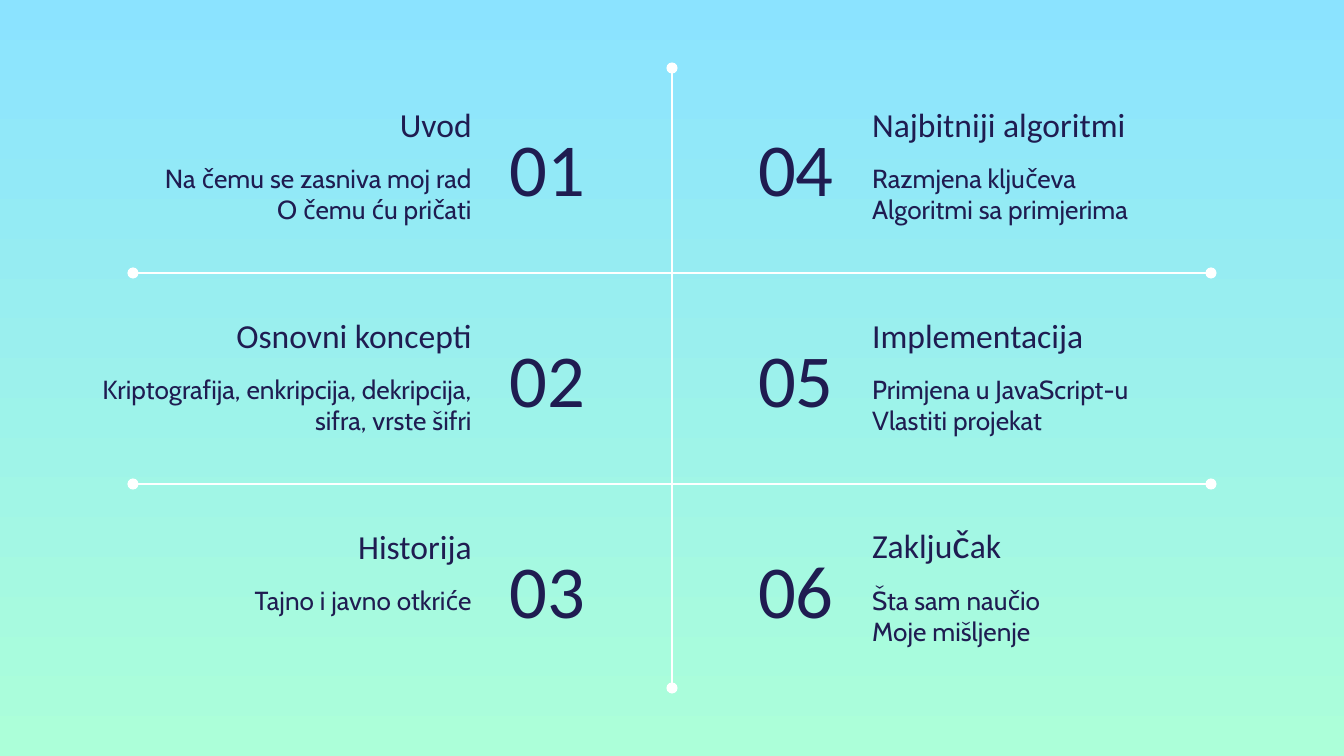
from lxml.etree import SubElement
from pptx import Presentation
from pptx.dml.color import RGBColor
from pptx.enum.shapes import MSO_CONNECTOR
from pptx.enum.text import MSO_ANCHOR, MSO_AUTO_SIZE, PP_ALIGN
from pptx.oxml.ns import qn
from pptx.util import Pt

PX = 914400 / 134.4
COLORS = {"sky": "8BE3FF", "mint": "ACFFD9", "ink": "1F1C51", "line": "FFFFFF"}
ROW_STEP = 211
TOPICS = [
    ("Uvod", "Na čemu se zasniva moj rad\nO čemu ću pričati"),
    ("Osnovni koncepti", "Kriptografija, enkripcija, dekripcija, sifra, vrste šifri"),
    ("Historija", "Tajno i javno otkriće"),
    ("Najbitniji algoritmi", "Razmjena ključeva\nAlgoritmi sa primjerima"),
    ("Implementacija", "Primjena u JavaScript-u\nVlastiti projekat"),
    ("Zaključak", "Šta sam naučio\nMoje mišljenje"),
]


def emu(px):
    return round(px * PX)


def rgb(name):
    return RGBColor.from_string(COLORS[name])


class Agenda:
    """Holds the style and the current slide."""
    number_style = ("Calibri", 40, MSO_ANCHOR.MIDDLE)
    heading_style = ("Calibri", 18, MSO_ANCHOR.BOTTOM)
    body_style = ("Cabin", 14, MSO_ANCHOR.TOP)

    def __init__(self, page):
        self.page = page

    def background(self):
        fill = self.page.background.fill
        fill.gradient()
        fill.gradient_angle = 270
        for stop, name, position in zip(fill.gradient_stops, ("sky", "mint"), (0, 1)):
            stop.color.rgb = rgb(name)
            stop.position = position

    def text(self, text, place, style, align, box=None):
        """Place text in a new text box, or in the given placeholder."""
        left, top, width, height = map(emu, place)
        font, size, anchor = style
        if box is None:
            box = self.page.shapes.add_textbox(left, top, width, height)
        else:
            box.left, box.top, box.width, box.height = left, top, width, height
        frame = box.text_frame
        frame.text = text
        frame.word_wrap = True
        frame.auto_size = MSO_AUTO_SIZE.NONE
        frame.vertical_anchor = anchor
        frame.margin_left = frame.margin_right = Pt(7.2)
        frame.margin_top = frame.margin_bottom = Pt(7.2)
        for para in frame.paragraphs:
            para.alignment = align
            for span in para.runs:
                self.format(span, font, size)
        return frame

    def format(self, span, font, size):
        span.font.name = font
        span.font.size = Pt(size)
        span.font.color.rgb = rgb("ink")

    def enlarge(self, para, letter, big):
        """Split the paragraph around a letter and set that letter larger."""
        font, size, _ = self.heading_style
        before, after = para.text.split(letter)
        para.text = before
        for piece in (letter, after):
            para.add_run().text = piece
        for span in para.runs:
            self.format(span, font, big if span.text == letter else size)

    def line(self, x1, y1, x2, y2):
        """Draw a line with a dot at each end."""
        line = self.page.shapes.add_connector(
            MSO_CONNECTOR.STRAIGHT, emu(x1), emu(y1), emu(x2), emu(y2))
        line.line.color.rgb = rgb("line")
        line.line.width = Pt(1.5)
        outline = line.line._get_or_add_ln()
        for end in ("a:headEnd", "a:tailEnd"):
            SubElement(outline, qn(end), type="oval")
        SubElement(line._element.spPr, qn("a:effectLst"))


def main():
    deck = Presentation()
    deck.slide_width, deck.slide_height = emu(1344), emu(756)
    page = deck.slides.add_slide(deck.slide_layouts[5])
    agenda = Agenda(page)
    agenda.background()
    agenda.line(672, 68, 672, 688)

    for index, (heading, body) in enumerate(TOPICS):
        column, row = divmod(index, 3)
        shift = row * ROW_STEP
        number_left, text_left = ((496, 85), (672, 859))[column]
        inward, outward = PP_ALIGN.LEFT, PP_ALIGN.RIGHT
        if column == 1:
            inward, outward = outward, inward
        agenda.text(f"{index + 1:02}", (number_left, 109 + shift, 175, 116),
                    agenda.number_style, inward,
                    page.shapes.title if index == 0 else None)
        title = agenda.text(heading, (text_left, 91 + shift, 400, 67),
                            agenda.heading_style, outward)
        agenda.text(body, (text_left, 149 + shift, 400, 93),
                    agenda.body_style, outward)
    agenda.enlarge(title.paragraphs[0], "č", 22)

    for row in range(2):
        y = 273 + row * ROW_STEP
        agenda.line(133, y, 1211, y)
    deck.save("out.pptx")


if __name__ == "__main__":
    main()
